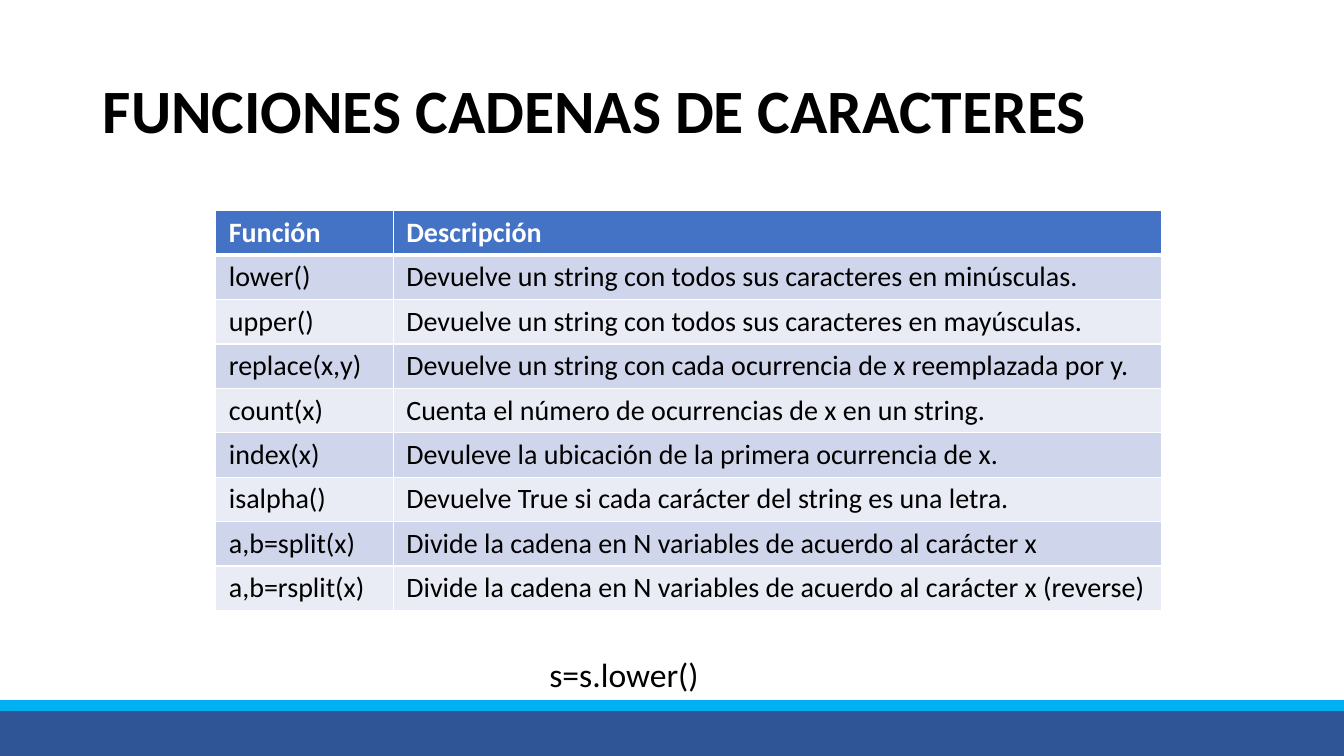
from dataclasses import dataclass

import pptx
import pptx.dml.color
import pptx.enum.shapes
import pptx.enum.text
import pptx.oxml
import pptx.oxml.ns
import pptx.util
from pptx.util import Inches

FONT = "Calibri"
COLORS = {
    "navy": "2F5597",
    "navy_edge": "325491",
    "sky": "00B0F0",
    "header": "4472C4",
    "odd_row": "CFD5EA",
    "even_row": "E9EBF5",
    "white": "FFFFFF",
    "black": "000000",
}


@dataclass(frozen=True)
class Band:
    top: float
    height: float
    fill: str
    edge: str


@dataclass(frozen=True)
class StringFunction:
    call: str
    description: str


FOOTER_BANDS = [
    Band(7.03, 0.47, "navy", "navy_edge"),
    Band(6.95, 0.1, "sky", "sky"),
]
HEADINGS = StringFunction("Función", "Descripción")
FUNCTIONS = [
    StringFunction("lower()", "Devuelve un string con todos sus caracteres en minúsculas."),
    StringFunction("upper()", "Devuelve un string con todos sus caracteres en mayúsculas."),
    StringFunction("replace(x,y)", "Devuelve un string con cada ocurrencia de x reemplazada por y."),
    StringFunction("count(x)", "Cuenta el número de ocurrencias de x en un string."),
    StringFunction("index(x)", "Devuleve la ubicación de la primera ocurrencia de x."),
    StringFunction("isalpha()", "Devuelve True si cada carácter del string es una letra."),
    StringFunction("a,b=split(x)", "Divide la cadena en N variables de acuerdo al carácter x"),
    StringFunction("a,b=rsplit(x)", "Divide la cadena en N variables de acuerdo al carácter x (reverse)"),
]
COLUMN_WIDTHS = [1.76, 7.62]
ROW_HEIGHT = 0.41


def rgb(name: str) -> pptx.dml.color.RGBColor:
    return pptx.dml.color.RGBColor.from_string(COLORS[name])


def write(frame, text: str, size: int, color: str = "black", bold: bool = False) -> None:
    paragraph = frame.paragraphs[0]
    paragraph.alignment = pptx.enum.text.PP_ALIGN.LEFT
    run = paragraph.add_run()
    run.text = text
    run.font.name = FONT
    run.font.size = pptx.util.Pt(size)
    run.font.bold = bold
    run.font.color.rgb = rgb(color)


def draw_band(slide, band: Band, width: int) -> None:
    bar = slide.shapes.add_shape(
        pptx.enum.shapes.MSO_SHAPE.RECTANGLE, 0, Inches(band.top), width, Inches(band.height)
    )
    bar.shadow.inherit = False
    bar.fill.solid()
    bar.fill.fore_color.rgb = rgb(band.fill)
    bar.line.color.rgb = rgb(band.edge)
    bar.line.width = pptx.util.Pt(1)
    slide.shapes._spTree.remove(bar._element)
    slide.shapes._spTree.insert(2 + FOOTER_BANDS.index(band), bar._element)


def set_borders(cell, top: int, bottom: int) -> None:
    properties = cell._tc.get_or_add_tcPr()
    for position, (side, points) in enumerate({"L": 1, "R": 1, "T": top, "B": bottom}.items()):
        border = pptx.oxml.parse_xml(
            f'<a:ln{side} {pptx.oxml.ns.nsdecls("a")} w="{pptx.util.Pt(points)}">'
            f'<a:solidFill><a:srgbClr val="{COLORS["white"]}"/></a:solidFill></a:ln{side}>'
        )
        properties.insert(position, border)


def draw_table(slide) -> None:
    entries = [HEADINGS, *FUNCTIONS]
    table = slide.shapes.add_table(
        len(entries), len(COLUMN_WIDTHS), Inches(2.14), Inches(2.09),
        Inches(sum(COLUMN_WIDTHS)), Inches(ROW_HEIGHT * len(entries)),
    ).table
    for column, width in zip(table.columns, COLUMN_WIDTHS):
        column.width = Inches(width)
    for index, entry in enumerate(entries):
        table.rows[index].height = Inches(ROW_HEIGHT)
        is_header = index == 0
        fill = "header" if is_header else "odd_row" if index % 2 else "even_row"
        for cell, text in zip(table.rows[index].cells, (entry.call, entry.description)):
            cell.margin_left = cell.margin_right = Inches(0.13)
            cell.margin_top = cell.margin_bottom = Inches(0.05)
            cell.fill.solid()
            cell.fill.fore_color.rgb = rgb(fill)
            set_borders(cell, top=3 if index == 1 else 1, bottom=3 if is_header else 1)
            write(cell.text_frame, text, 20, "white" if is_header else "black", is_header)


def main() -> None:
    presentation = pptx.Presentation()
    presentation.slide_width = Inches(13.33)
    presentation.slide_height = Inches(7.5)
    slide = presentation.slides.add_slide(presentation.slide_layouts[5])

    for band in FOOTER_BANDS:
        draw_band(slide, band, presentation.slide_width)

    heading = slide.shapes.title
    heading.left, heading.top = Inches(0.92), Inches(0.4)
    heading.width, heading.height = Inches(11.5), Inches(1.45)
    heading.text_frame.vertical_anchor = pptx.enum.text.MSO_ANCHOR.MIDDLE
    heading.text_frame.auto_size = pptx.enum.text.MSO_AUTO_SIZE.NONE
    heading.text_frame.paragraphs[0].line_spacing = 0.9
    write(heading.text_frame, "FUNCIONES CADENAS DE CARACTERES", 44, bold=True)

    draw_table(slide)

    example = slide.shapes.add_textbox(Inches(5.35), Inches(6.44), Inches(2.01), Inches(0.5))
    example.text_frame.word_wrap = True
    example.text_frame.auto_size = pptx.enum.text.MSO_AUTO_SIZE.SHAPE_TO_FIT_TEXT
    write(example.text_frame, "s=s.lower()", 24)

    presentation.save("out.pptx")


if __name__ == "__main__":
    main()
